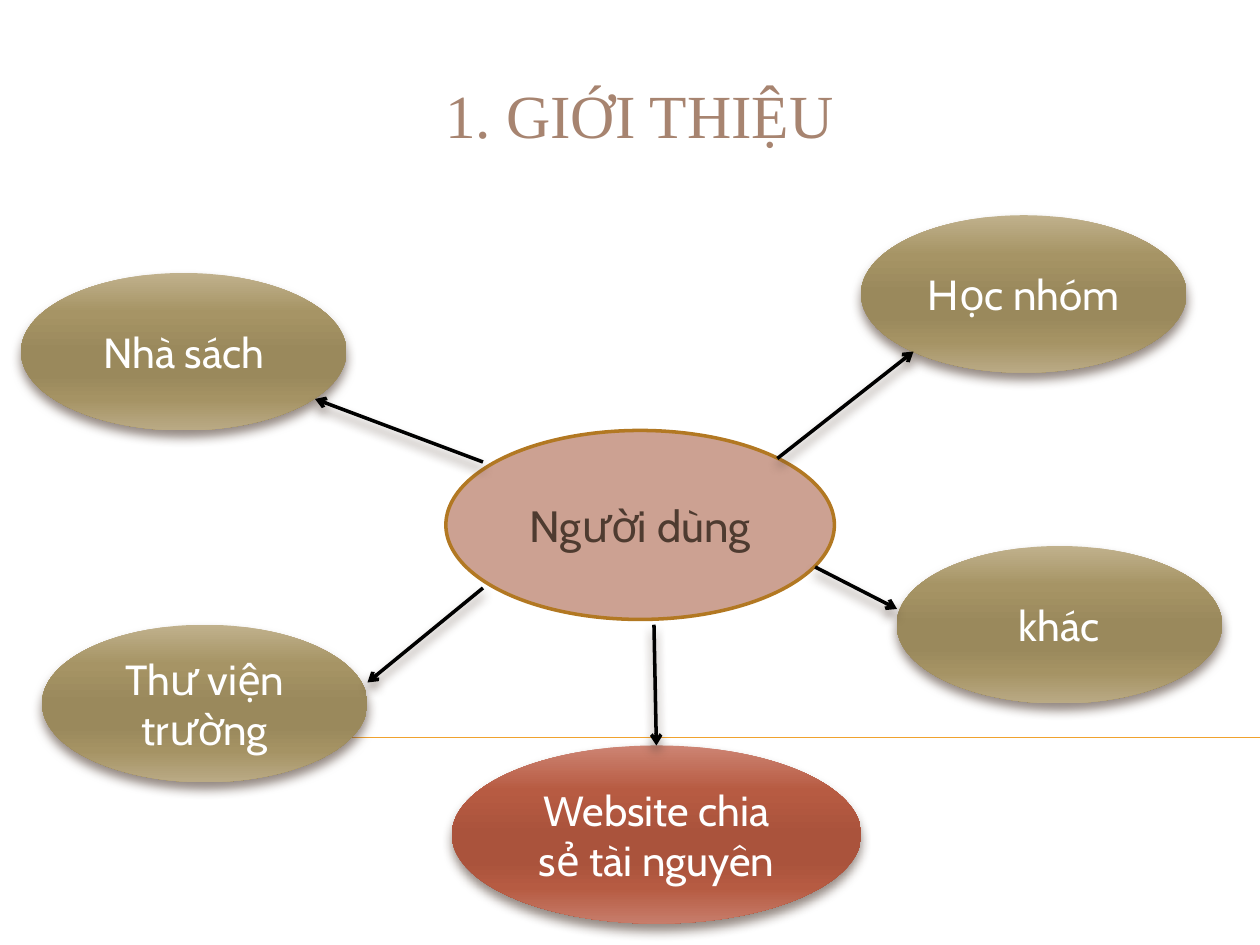
from lxml.etree import SubElement
from pptx import Presentation
from pptx.dml.color import RGBColor
from pptx.enum.shapes import MSO_CONNECTOR, MSO_SHAPE
from pptx.enum.text import MSO_ANCHOR, PP_ALIGN
from pptx.oxml.ns import qn
from pptx.util import Pt

COLORS = {
    "rule": "F0A22E", "title": "A78470", "title_edge": "271E18",
    "user": "CCA192", "user_edge": "B27822", "dark": "4E3B30",
    "white": "FFFFFF", "black": "000000",
}
GRADIENTS = {
    "olive": ["C0B18C", "A69465", "9A895C", "9A895C", "A59364", "BAAA85"],
    "red": ["CD8473", "B75B42", "AA533C", "AA533C", "B65B42", "C77D6B"],
}
STOPS = [0, 25, 50, 65, 80, 100]


def add_text(sp, text, font="Cabin", size=24, color="white", anchor=MSO_ANCHOR.MIDDLE):
    tf = sp.text_frame
    tf.word_wrap = True
    tf.vertical_anchor = anchor
    p = tf.paragraphs[0]
    p.alignment = PP_ALIGN.CENTER
    r = p.add_run()
    r.text = text
    r.font.name = font
    r.font.size = Pt(size)
    r.font.color.rgb = RGBColor.from_string(COLORS[color])
    return r


def add_effects(sp, shadow=True):
    effects = SubElement(sp._element.spPr, qn("a:effectLst"))
    if shadow:
        outer = SubElement(effects, qn("a:outerShdw"), blurRad=str(Pt(6)),
                           dist=str(Pt(4)), dir="5400000", rotWithShape="0")
        clr = SubElement(outer, qn("a:srgbClr"), val=COLORS["dark"])
        SubElement(clr, qn("a:alpha"), val="60000")


prs = Presentation()
prs.slide_width, prs.slide_height = Pt(720), Pt(540)
s = prs.slides.add_slide(prs.slide_layouts[6])

rule = s.shapes.add_connector(MSO_CONNECTOR.STRAIGHT, Pt(40), Pt(421.3), Pt(720), Pt(421.3))
rule.line.color.rgb = RGBColor.from_string(COLORS["rule"])
rule.line.width = Pt(0.75)
add_effects(rule, shadow=False)

title = s.shapes.add_textbox(Pt(32.4), Pt(18), Pt(666), Pt(72))
r = add_text(title, "1. GIỚI THIỆU", font="Times New Roman", size=35,
             color="title", anchor=MSO_ANCHOR.BOTTOM)
rPr = r.font._element
edge = SubElement(rPr, qn("a:ln"), w=str(Pt(0.8)))
SubElement(SubElement(edge, qn("a:solidFill")), qn("a:srgbClr"), val=COLORS["title_edge"])
rPr.insert(0, edge)

user = s.shapes.add_shape(MSO_SHAPE.OVAL, Pt(254.8), Pt(246), Pt(222), Pt(108))
user.fill.solid()
user.fill.fore_color.rgb = RGBColor.from_string(COLORS["user"])
user.line.color.rgb = RGBColor.from_string(COLORS["user_edge"])
user.line.width = Pt(2)
user.shadow.inherit = False
add_text(user, "Người dùng", size=25, color="dark")

bubbles = [
    ("khác", 512.4, 312, 186, 90, "olive"),
    ("Học nhóm", 492, 123, 186, 90, "olive"),
    ("Thư viện trường", 24, 357, 186, 90, "olive"),
    ("Nhà sách", 12, 156, 186, 90, "olive"),
    ("Website chia sẻ tài nguyên", 258.2, 426, 234, 101.8, "red"),
]
for text, x, y, w, h, gradient in bubbles:
    sp = s.shapes.add_shape(MSO_SHAPE.OVAL, Pt(x), Pt(y), Pt(w), Pt(h))
    sp.fill.gradient()
    sp.fill.gradient_angle = 270
    gs_list = sp._element.spPr.find(".//" + qn("a:gsLst"))
    for gs in list(gs_list):
        gs_list.remove(gs)
    for pos, color in zip(STOPS, GRADIENTS[gradient]):
        gs = SubElement(gs_list, qn("a:gs"), pos=str(pos * 1000))
        SubElement(gs, qn("a:srgbClr"), val=color)
    sp.line.fill.background()
    add_effects(sp)
    add_text(sp, text)

arrows = [
    (276, 264, 180, 228),
    (276, 336, 210, 390),
    (444.2, 262, 522, 200.9),
    (465.8, 324, 512.6, 348),
    (373.7, 357, 375.1, 426),
]
for x1, y1, x2, y2 in arrows:
    arrow = s.shapes.add_connector(MSO_CONNECTOR.STRAIGHT, Pt(x1), Pt(y1), Pt(x2), Pt(y2))
    arrow.line.color.rgb = RGBColor.from_string(COLORS["black"])
    arrow.line.width = Pt(2)
    SubElement(arrow._element.spPr.find(qn("a:ln")), qn("a:tailEnd"), type="arrow")
    add_effects(arrow)

prs.save("out.pptx")
